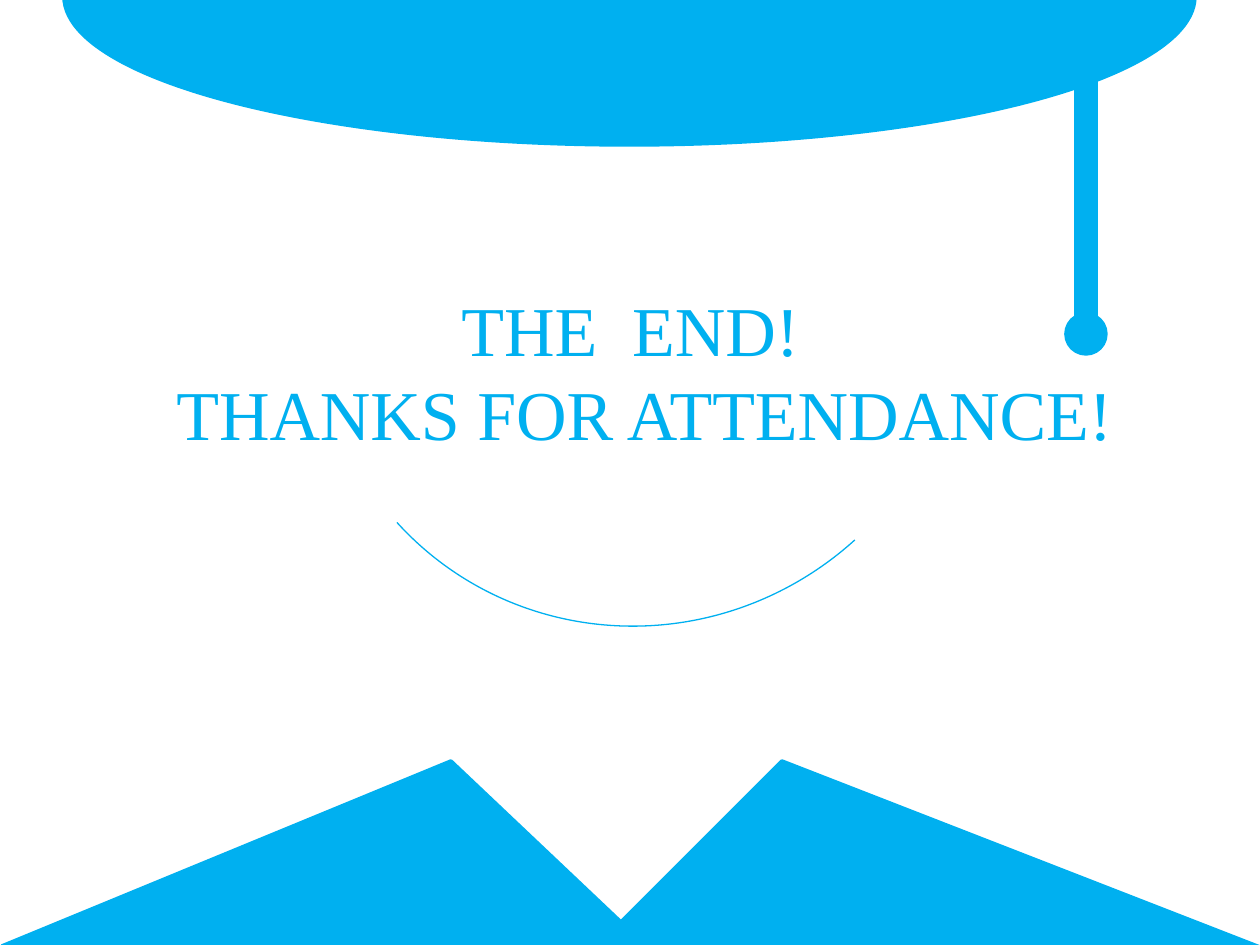
from pptx import Presentation
from pptx.dml.color import RGBColor
from pptx.enum.shapes import MSO_SHAPE
from pptx.enum.text import MSO_AUTO_SIZE
from pptx.util import Pt

OVAL, RECTANGLE, ARC = MSO_SHAPE.OVAL, MSO_SHAPE.RECTANGLE, MSO_SHAPE.ARC
FIT_SHAPE = MSO_AUTO_SIZE.SHAPE_TO_FIT_TEXT
EMU_PER_PX = 914400 / 126
SKY = "00B0F0"


def px(length):
    """Turn pixels into EMU."""
    return round(length * EMU_PER_PX)


def color(code):
    """Turn a hex string into a colour."""
    return RGBColor.from_string(code)


def paint(shape, line_width, filled=True):
    """Give a shape the sky colour without a shadow."""
    shape.shadow.inherit = False
    if filled:
        shape.fill.solid()
        shape.fill.fore_color.rgb = color(SKY)
    else:
        shape.fill.background()
    shape.line.color.rgb = color(SKY)
    shape.line.width = Pt(line_width)


def add_preset(slide, kind, box, line_width=2, filled=True):
    """Add a painted preset shape."""
    shape = slide.shapes.add_shape(kind, *map(px, box))
    paint(shape, line_width, filled)
    return shape


def add_outline(slide, points):
    """Add a painted closed polygon."""
    start, *rest = points
    builder = slide.shapes.build_freeform(*start, scale=EMU_PER_PX)
    builder.add_line_segments(rest, close=True)
    paint(builder.convert_to_shape(), 2)


def add_message(slide, box, lines):
    """Add left-aligned lines, each with its own indent."""
    message = slide.shapes.add_textbox(*map(px, box)).text_frame
    message.word_wrap = True
    message.auto_size = FIT_SHAPE
    message.text = "\n".join(words for words, _ in lines)
    for paragraph, (_, indent) in zip(message.paragraphs, lines):
        paragraph._p.get_or_add_pPr().set("marL", str(px(indent)))
        for run in paragraph.runs:
            run.font.name = "Times New Roman"
            run.font.size = Pt(40)
            run.font.color.rgb = color(SKY)


def main():
    """Build the closing slide."""
    deck = Presentation()
    deck.slide_width, deck.slide_height = px(1260), px(945)
    slide = deck.slides.add_slide(deck.slide_layouts[6])

    add_preset(slide, OVAL, (64, -152, 1131, 297))
    add_preset(slide, RECTANGLE, (1076, 76, 20, 258))
    add_preset(slide, OVAL, (1066, 314, 40, 40))
    smile = add_preset(slide, ARC, (312, -18, 655, 641), 0.75, filled=False)
    smile.rotation = 137.8

    add_message(slide, (164, 280, 1021, 183),
                [("THE  END!", 285), ("THANKS FOR ATTENDANCE!", 0)])
    add_outline(slide, [(2, 946), (451, 761), (621, 922), (782, 761), (1265, 949)])
    deck.save("out.pptx")


if __name__ == "__main__":
    main()
